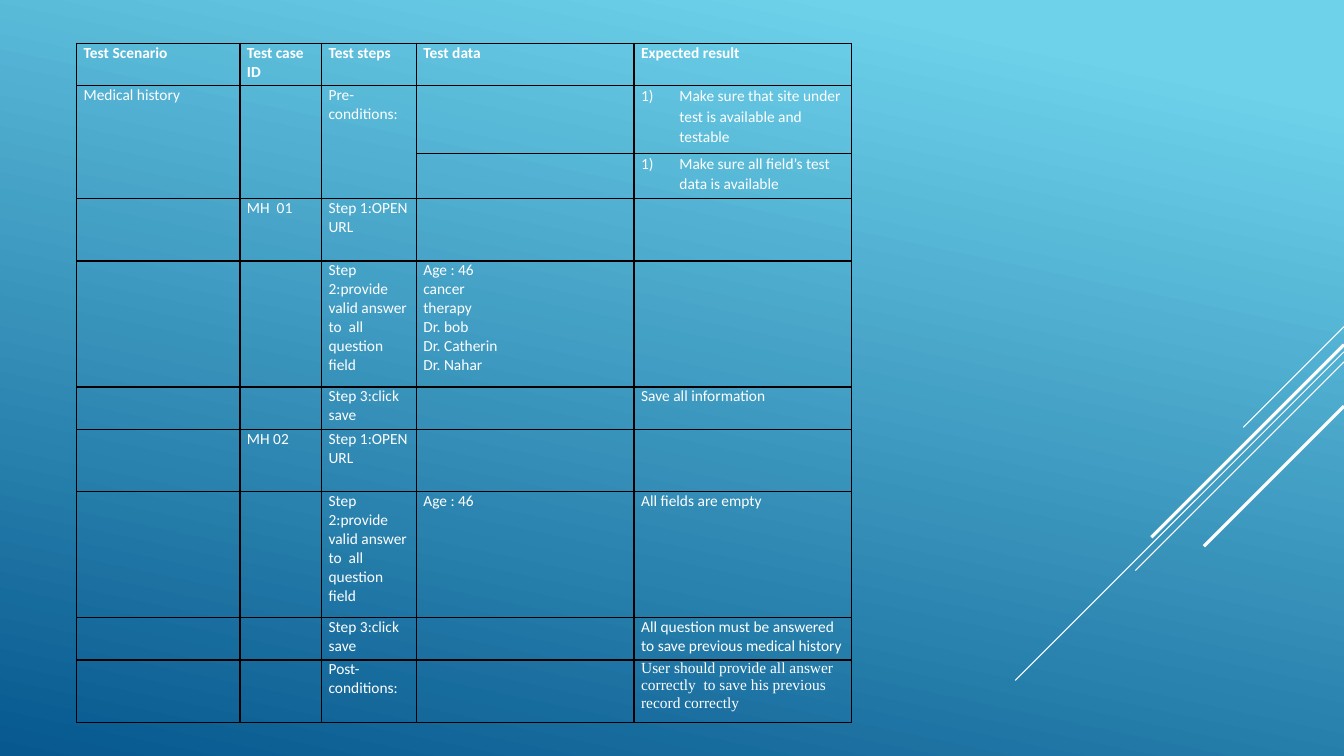
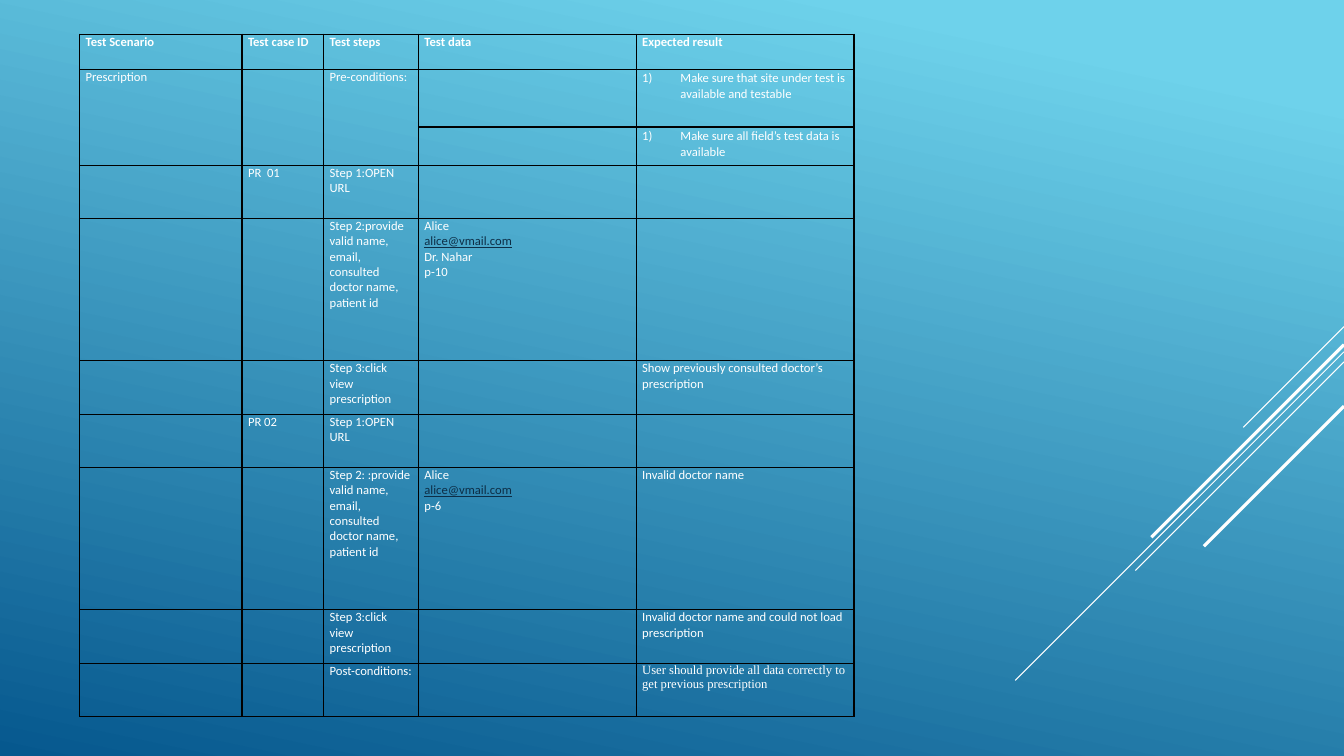
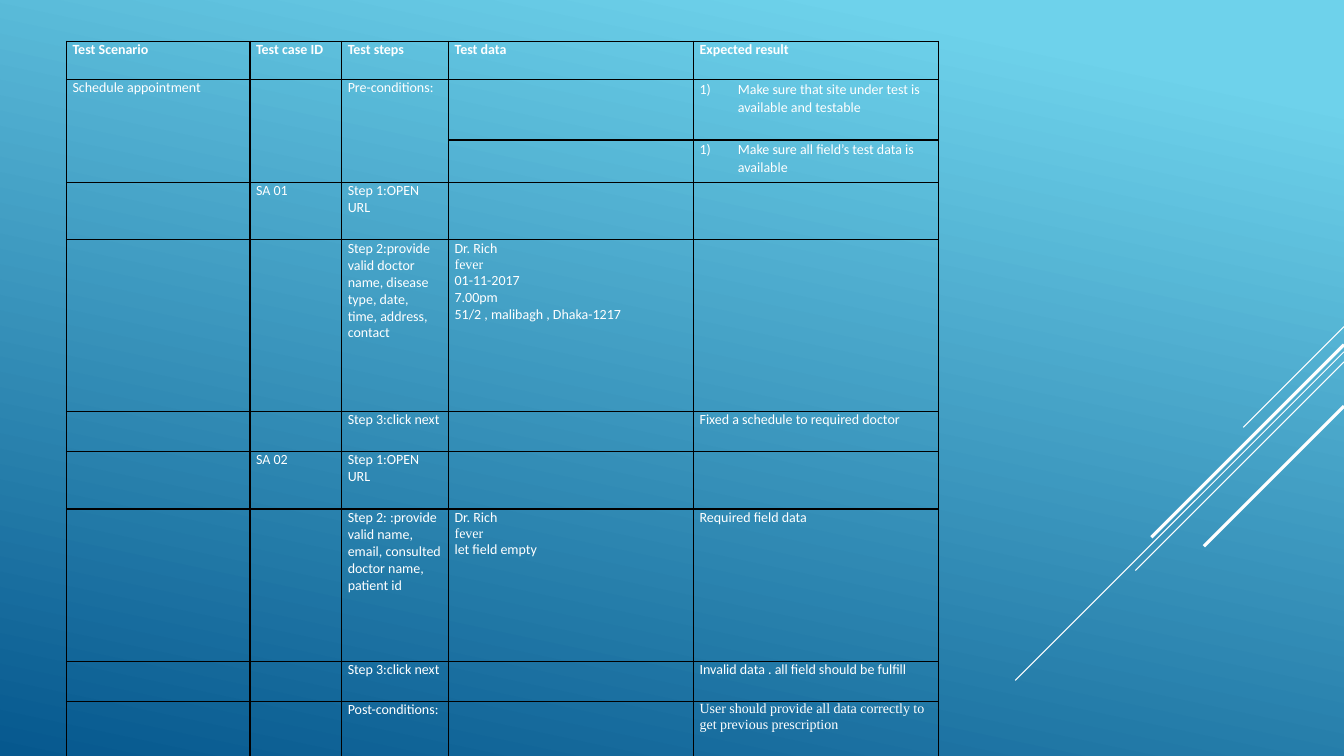
from dataclasses import dataclass

from lxml import etree
from pptx import Presentation
from pptx.dml.color import RGBColor
from pptx.enum import shapes
from pptx.oxml import ns
from pptx.util import Inches, Pt

WHITE = RGBColor(0xFF, 0xFF, 0xFF)
BLACK = RGBColor(0x00, 0x00, 0x00)
EMAIL_INK = RGBColor(0x0D, 0x2E, 0x46)
SKY = RGBColor(0x6E, 0xD2, 0xEB)
OCEAN = RGBColor(0x06, 0x58, 0x8E)

BODY_FONT = "Calibri"
SERIF_FONT = "Times New Roman"
PLAIN_TABLE = "{2D5ABB26-0587-4C30-8999-92F81FD0307C}"
PAGE_WIDTH = 13.33
HEADINGS = ["Test Scenario", "Test case ID", "Test steps", "Test data", "Expected result"]
CHECKS = [
    "Make sure that site under test is available and testable",
    "Make sure all field’s test data is available",
]
STRIPES = [
    (3.24, 1.0, 0.75),
    (3.49, 3.26, 0.75),
    (3.59, 2.07, 0.75),
    (3.42, 1.91, 2.25),
    (4.03, 1.39, 2.25),
]


@dataclass
class Case:
    name: str
    entry: str
    data: str
    entry_result: str
    finish_result: str


@dataclass
class Scenario:
    name: str
    finish: str
    closing: str
    cases: list
    left: float
    top: float
    widths: list
    heights: list
    size: int
    inset: float

    def rows(self):
        rows = [
            HEADINGS,
            [self.name, "", "Pre-conditions:", "", CHECKS[0]],
            ["", "", "", "", CHECKS[1]],
        ]
        for case in self.cases:
            rows += [
                ["", case.name, "Step 1:OPEN URL", "", ""],
                ["", "", case.entry, case.data, case.entry_result],
                ["", "", self.finish, "", case.finish_result],
            ]
        return rows + [["", "", "Post-conditions:", "", self.closing]]


SCENARIOS = [
    Scenario(
        "Medical history",
        "Step 3:click save",
        "User should provide all answer correctly  to save his previous record correctly",
        [
            Case("MH  01", "Step 2:provide valid answer to  all question field",
                 "Age : 46\ncancer\ntherapy\nDr. bob\nDr. Catherin\nDr. Nahar",
                 "", "Save all information"),
            Case("MH 02", "Step 2:provide valid answer to  all question field",
                 "Age : 46", "All fields are empty",
                 "All question must be answered to save previous medical history"),
        ],
        0.76, 0.43,
        [1.62, 0.81, 0.94, 2.16, 2.16],
        [0.42, 0.67, 0.45, 0.62, 1.25, 0.42, 0.62, 1.25, 0.42, 0.62],
        11, 0.07,
    ),
    Scenario(
        "Prescription",
        "Step 3:click view prescription",
        "User should provide all data correctly to get previous prescription",
        [
            Case("PR  01", "Step 2:provide valid name, email, consulted doctor name, patient id",
                 "Alice\nalice@vmail.com\nDr. Nahar\np-10",
                 "", "Show previously consulted doctor’s prescription"),
            Case("PR 02", "Step 2: :provide valid name, email, consulted doctor name, patient id",
                 "Alice\nalice@vmail.com\np-6", "Invalid doctor name",
                 "Invalid doctor name and could not load prescription"),
        ],
        0.79, 0.34,
        [1.61, 0.81, 0.94, 2.16, 2.16],
        [0.35, 0.57, 0.38, 0.53, 1.41, 0.53, 0.53, 1.41, 0.53, 0.53],
        9, 0.06,
    ),
    Scenario(
        "Schedule appointment",
        "Step 3:click next",
        "User should provide all data correctly to get previous prescription",
        [
            Case("SA 01",
                 "Step 2:provide valid doctor name, disease  type, date,  time, address, contact",
                 "Dr. Rich\nfever\n01-11-2017\n7.00pm\n51/2 , malibagh , Dhaka-1217",
                 "", "Fixed a schedule to required doctor"),
            Case("SA 02", "Step 2: :provide valid name, email, consulted doctor name, patient id",
                 "Dr. Rich\nfever\nlet field empty", "Required field data",
                 "Invalid data . all field should be fulfill"),
        ],
        0.66, 0.41,
        [1.82, 0.91, 1.06, 2.43, 2.43],
        [0.38, 0.6, 0.42, 0.57, 1.7, 0.4, 0.57, 1.51, 0.4, 0.57],
        10, 0.06,
    ),
]


def paint_background(master):
    fill = master.background.fill
    fill.gradient()
    fill.gradient_angle = 360 - 102
    for stop, color, position in zip(fill.gradient_stops, (SKY, OCEAN), (0.1, 1)):
        stop.color.rgb = color
        stop.position = position


def add_stripes(page):
    for top, reach, weight in STRIPES:
        stripe = page.shapes.add_connector(
            shapes.MSO_CONNECTOR.STRAIGHT, Inches(PAGE_WIDTH), Inches(top),
            Inches(PAGE_WIDTH - reach), Inches(top + reach))
        stripe.line.color.rgb = WHITE
        stripe.line.width = Pt(weight)
        etree.SubElement(stripe._element.spPr, ns.qn("a:effectLst"))


def add_borders(cell):
    properties = cell._tc.get_or_add_tcPr()
    for side in ("lnL", "lnR", "lnT", "lnB"):
        border = etree.SubElement(properties, ns.qn("a:" + side), w=str(Pt(1)))
        fill = etree.SubElement(border, ns.qn("a:solidFill"))
        etree.SubElement(fill, ns.qn("a:srgbClr"), val=str(BLACK))


def number_paragraph(para):
    para.line_spacing = 1.07
    properties = para._p.get_or_add_pPr()
    properties.set("marL", str(Inches(0.38)))
    properties.set("indent", str(-Inches(0.38)))
    etree.SubElement(properties, ns.qn("a:buAutoNum"), type="arabicParenR")


def fill_cell(cell, content, scenario, bold):
    cell.margin_left = cell.margin_right = Inches(scenario.inset)
    cell.margin_top = cell.margin_bottom = 0
    add_borders(cell)
    cell.fill.background()
    cell.text_frame.text = content
    for para in cell.text_frame.paragraphs:
        if para.text in CHECKS:
            number_paragraph(para)
        for span in para.runs:
            is_email = "@" in span.text
            is_serif = span.text in ("fever", scenario.closing)
            span.font.name = SERIF_FONT if is_serif else BODY_FONT
            span.font.size = Pt(scenario.size)
            span.font.bold = bold
            span.font.underline = is_email
            span.font.color.rgb = EMAIL_INK if is_email else WHITE


def add_test_table(page, scenario):
    rows = scenario.rows()
    frame = page.shapes.add_table(
        len(rows), len(HEADINGS), Inches(scenario.left), Inches(scenario.top),
        Inches(sum(scenario.widths)), Inches(sum(scenario.heights)))
    table = frame.table
    table.first_row = table.horz_banding = False
    table._tbl.tblPr.find(ns.qn("a:tableStyleId")).text = PLAIN_TABLE
    for column, width in zip(table.columns, scenario.widths):
        column.width = Inches(width)
    for row, height in zip(table.rows, scenario.heights):
        row.height = Inches(height)
    for row_index, contents in enumerate(rows):
        for column_index, content in enumerate(contents):
            fill_cell(table.cell(row_index, column_index), content, scenario, row_index == 0)
    for column_index in range(3):
        table.cell(1, column_index).merge(table.cell(2, column_index))


def main():
    deck = Presentation()
    deck.slide_width = Inches(PAGE_WIDTH)
    deck.slide_height = Inches(7.5)
    paint_background(deck.slide_master)
    for scenario in SCENARIOS:
        page = deck.slides.add_slide(deck.slide_layouts[6])
        add_stripes(page)
        add_test_table(page, scenario)
    deck.save("out.pptx")


if __name__ == "__main__":
    main()
